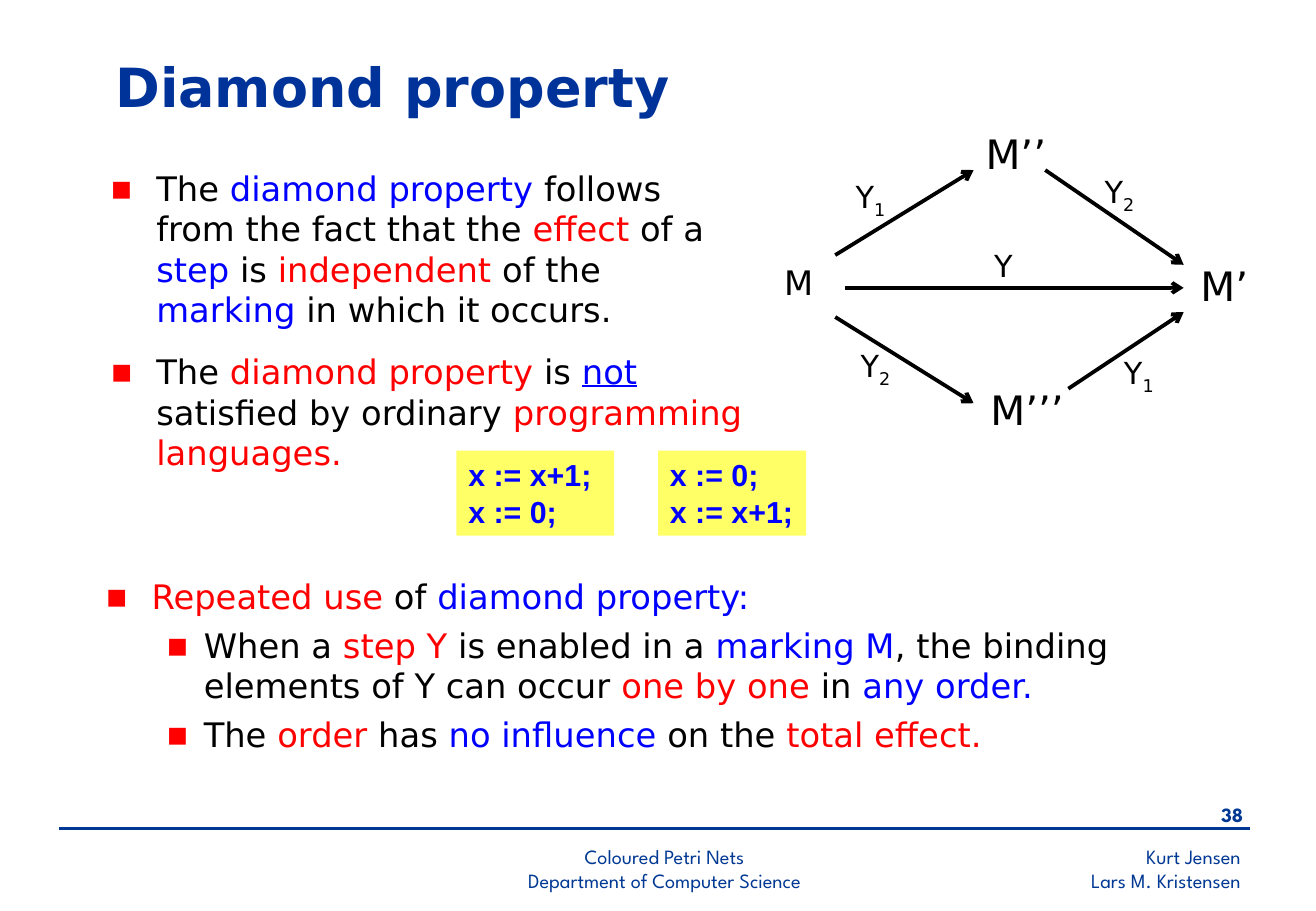
from lxml.etree import SubElement
from pptx import Presentation
from pptx.dml.color import RGBColor
from pptx.enum.shapes import MSO_CONNECTOR as CONN, MSO_SHAPE as SHAPE
from pptx.enum.text import MSO_ANCHOR as ANCHOR, MSO_AUTO_SIZE as AUTO, PP_ALIGN as ALIGN
from pptx.oxml.ns import qn
from pptx.util import Inches, Pt

COL = ROW = Inches(0.1)
COLS, ROWS = 108.4, 75
BLACK, RED, BLUE = "000000", "FF0000", "0000FF"
NAVY, TITLE_BLUE, YELLOW = "003893", "003399", "FFFF66"
BODY, CODE, FOOT = "DejaVu Sans", "Arial", "League Spartan"


def rgb(value):
    return RGBColor.from_string(value)


def grid(x, y, w, h):
    return round(x * COL), round(y * ROW), round(w * COL), round(h * ROW)


def add_run(p, text, font=BODY, size=20, color=BLACK, bold=False, underline=False, baseline=0):
    r = p.add_run()
    r.text = text
    r.font.name, r.font.size = font, Pt(size)
    r.font.bold, r.font.underline = bold, underline
    r.font.color.rgb = rgb(color)
    if baseline:
        r.font._element.set("baseline", str(baseline * 1000))


def set_frame(tf, anchor=ANCHOR.TOP, right=0.1):
    tf.word_wrap = True
    tf.auto_size = AUTO.NONE
    tf.vertical_anchor = anchor
    tf.margin_left, tf.margin_right = Inches(0.1), Inches(right)
    tf.margin_top = tf.margin_bottom = Inches(0.05)
    return tf


def add_text(s, box):
    return set_frame(s.shapes.add_textbox(*grid(*box)).text_frame)


def next_paragraph(tf, i):
    return tf.add_paragraph() if i else tf.paragraphs[0]


def add_lines(tf, lines, align=ALIGN.LEFT, **style):
    for i, line in enumerate(lines):
        p = next_paragraph(tf, i)
        p.alignment = align
        add_run(p, line, **style)


def add_bullet(p, level):
    p.level = level
    left, hang = ((0.38, 0.38), (0.81, 0.31))[level]
    pPr = p._p.get_or_add_pPr()
    pPr.set("marL", str(Inches(left)))
    pPr.set("indent", str(-Inches(hang)))
    SubElement(SubElement(pPr, qn("a:buClr")), qn("a:srgbClr")).set("val", RED)
    SubElement(pPr, qn("a:buFont")).set("typeface", BODY)
    SubElement(pPr, qn("a:buChar")).set("char", "▪")


def add_bullets(s, box, items):
    tf = add_text(s, box)
    for i, (level, runs) in enumerate(items):
        p = next_paragraph(tf, i)
        p.space_before = Pt(5 if i else 0)
        add_bullet(p, level)
        for text, color, *underline in runs:
            add_run(p, text, color=color, underline=bool(underline))


def add_line(s, start, end, color, width, arrow=False):
    line = s.shapes.add_connector(CONN.STRAIGHT, *grid(*start, *end))
    line.line.color.rgb = rgb(color)
    line.line.width = Pt(width)
    if arrow:
        SubElement(line.line._get_or_add_ln(), qn("a:tailEnd")).set("type", "arrow")
    SubElement(line._element.spPr, qn("a:effectLst"))


def add_title(s, box, text):
    title = s.shapes.title
    title.left, title.top, title.width, title.height = grid(*box)
    add_lines(set_frame(title.text_frame, ANCHOR.MIDDLE), [text],
              size=32, color=TITLE_BLUE, bold=True)


def add_code(s, box, lines):
    x, y, w, h = box
    sp = s.shapes.add_shape(SHAPE.RECTANGLE, *grid(x, y, w, h))
    sp.shadow.inherit = False
    sp.fill.solid()
    sp.fill.fore_color.rgb = rgb(YELLOW)
    sp.line.fill.background()
    add_lines(set_frame(sp.text_frame, right=0), lines,
              font=CODE, size=18, color=BLUE, bold=True)


def add_diamond(s, box):
    x, y, w, h = box
    left, peak_in, right = 5.2, 16.6, 33.9
    arrows = [((6, 12.8), (right, 12.8)),
              ((left, 10.1), (peak_in, 3.1)), ((22.5, 3.1), (right, 10.9)),
              ((left, 15.2), (peak_in, 22.3)), ((24.4, 21.1), (right, 14.8))]
    for (x1, y1), (x2, y2) in arrows:
        add_line(s, (x + x1, y + y1), (x + x2, y + y2), BLACK, 2.25, arrow=True)
    labels = [("M", "", 20, 0, 10.8), ("M’", "", 24, 34.3, 10.9),
              ("M’’", "", 24, 16.6, 0), ("M’’’", "", 24, 17, 21.1),
              ("Y", "", 18, 17.3, 9.5),
              ("Y", "1", 18, 5.9, 3.6), ("Y", "2", 18, 26.4, 3.2),
              ("Y", "2", 18, 6.3, 17.5), ("Y", "1", 18, 28, 18.1)]
    for text, sub, size, dx, dy in labels:
        p = add_text(s, (x + dx, y + dy, w / 5, h / 5.5)).paragraphs[0]
        p.line_spacing = 0.8
        add_run(p, text, size=size)
        if sub:
            add_run(p, sub, size=size, baseline=-25)


def add_footer(s, box):
    x, y, w, h = box
    add_line(s, (x, y + 2.6), (x + w, y + 2.6), NAVY, 1.5)
    parts = [(["38"], 91.4, 0, 7.1, ALIGN.RIGHT, True),
             (["Coloured Petri Nets", "Department of Computer Science"],
              29.2, 3.4, 41.3, ALIGN.CENTER, False),
             (["Kurt Jensen", "Lars M. Kristensen"],
              64.6, 3.4, 33.7, ALIGN.RIGHT, False)]
    for lines, dx, dy, width, align, bold in parts:
        add_lines(add_text(s, (x + dx, y + dy, width, h - dy)), lines, align,
                  font=FOOT, size=12, color=NAVY, bold=bold)


def main():
    prs = Presentation()
    prs.slide_width, prs.slide_height = round(COLS * COL), ROWS * ROW
    s = prs.slides.add_slide(prs.slide_layouts[5])
    add_title(s, (8.5, 3.6, 50, 6.9), "Diamond property")
    add_bullets(s, (8.1, 13.3, 52.4, 14.3), [
        (0, [("The ", BLACK), ("diamond property", BLUE),
             (" follows from the fact that the ", BLACK), ("effect", RED),
             (" of a ", BLACK), ("step", BLUE), (" is", BLACK),
             (" independent", RED), (" of the ", BLACK), ("marking", BLUE),
             (" in which it occurs.", BLACK)])])
    add_bullets(s, (8.1, 28.4, 55.9, 11.4), [
        (0, [("The ", BLACK), ("diamond property", RED), (" is ", BLACK),
             ("not", BLUE, True), (" satisfied by ordinary ", BLACK),
             ("programming languages.", RED)])])
    add_bullets(s, (7.7, 46.9, 94.9, 16.1), [
        (0, [("Repeated use", RED), (" of ", BLACK), ("diamond property:", BLUE)]),
        (1, [("When a ", BLACK), ("step Y", RED), (" is enabled in a ", BLACK),
             ("marking M", BLUE), (", the binding elements of Y can occur ", BLACK),
             ("one by one", RED), (" in ", BLACK), ("any order.", BLUE)]),
        (1, [("The ", BLACK), ("order", RED), (" has ", BLACK),
             ("no influence", BLUE), (" on the ", BLACK), ("total effect.", RED)])])
    add_code(s, (37.6, 37.1, 13, 7), ["x := x+1;", "x := 0;"])
    add_code(s, (54.2, 37.1, 12.2, 7), ["x := 0;", "x := x+1;"])
    add_diamond(s, (63.6, 10.9, 41.4, 25.8))
    add_footer(s, (4.9, 65.6, 98.1, 8.4))
    prs.save("out.pptx")


if __name__ == "__main__":
    main()
